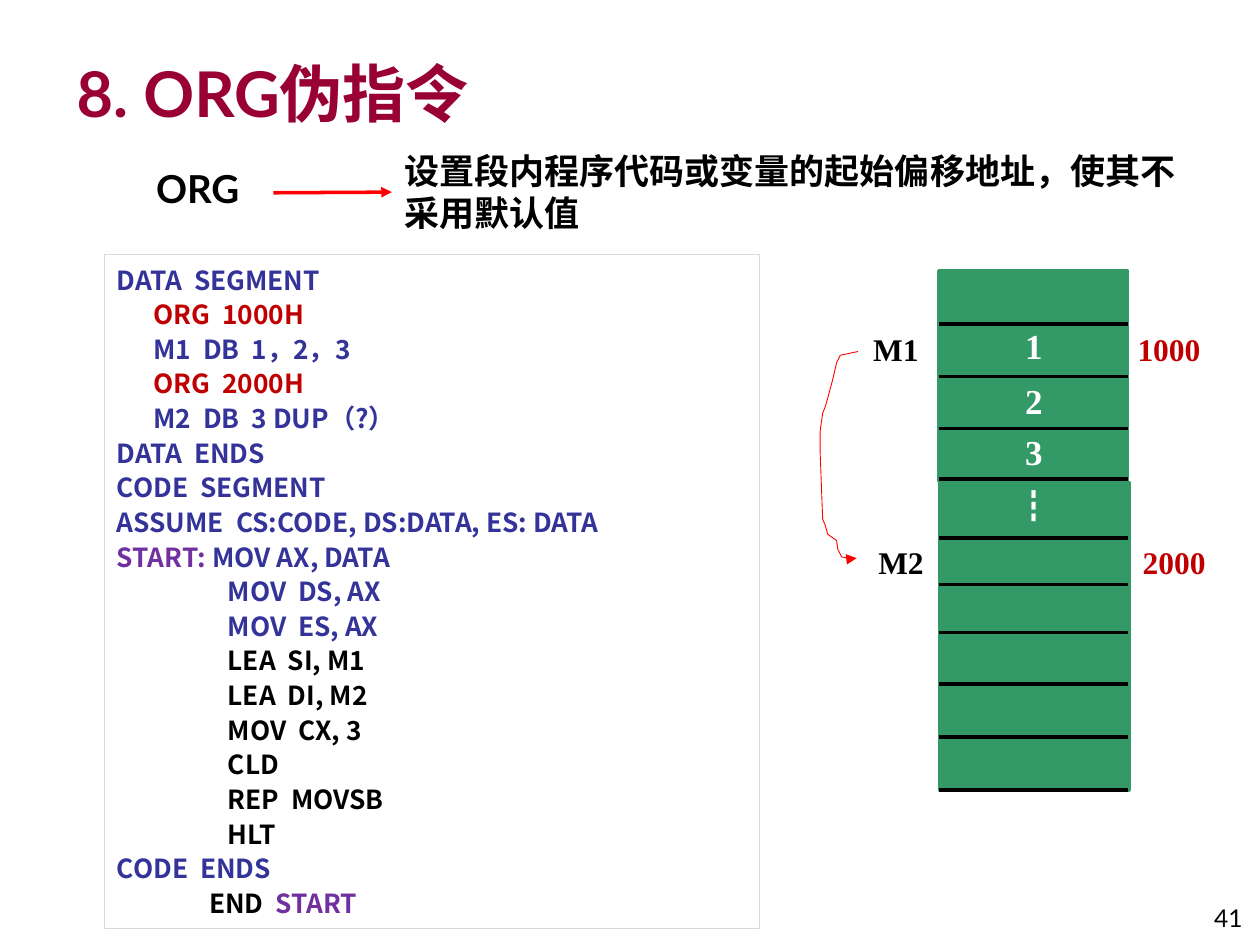
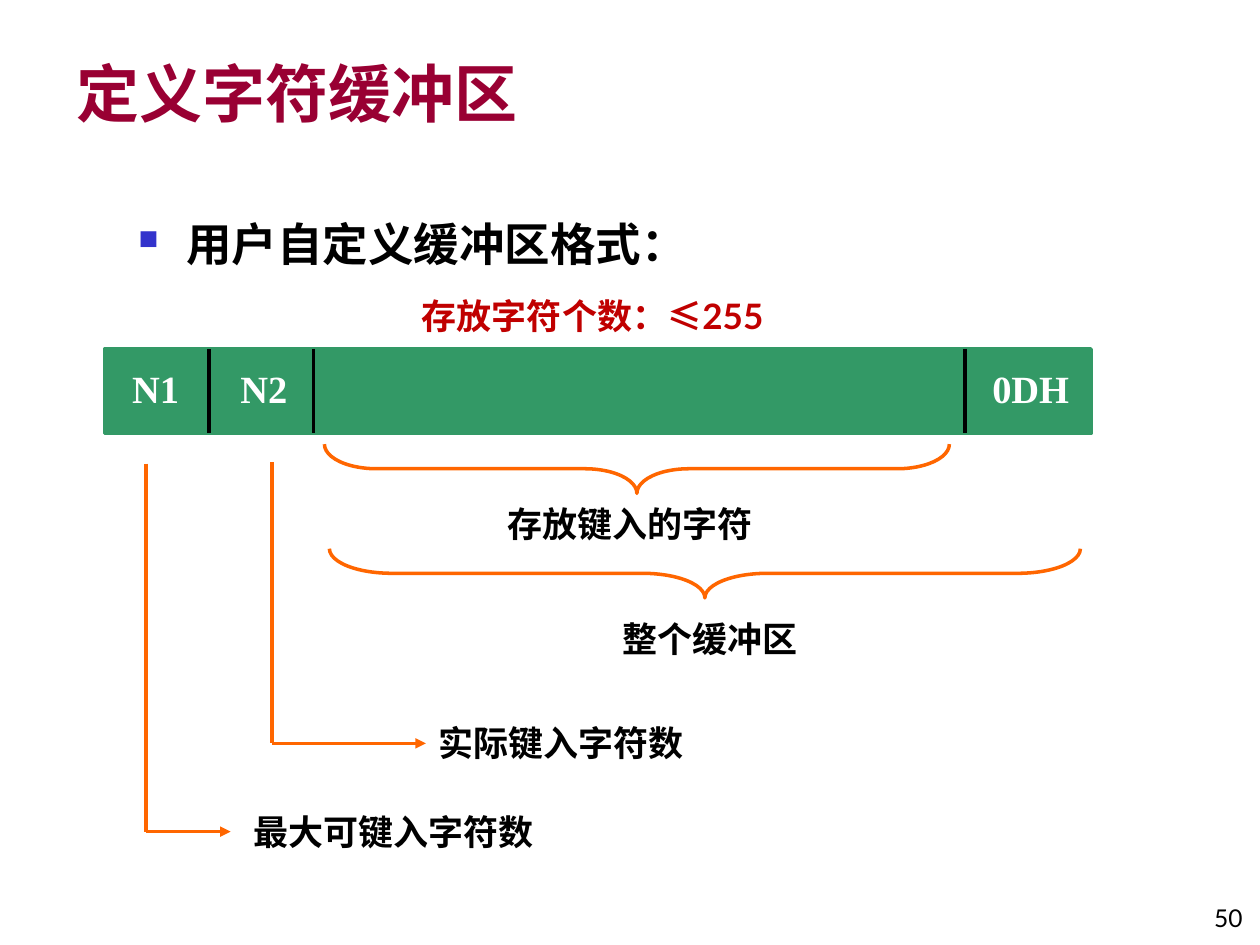
from pptx import Presentation
from pptx import util as u
from pptx.dml.color import RGBColor
from pptx.enum import shapes, text
from pptx.oxml import ns
from lxml import etree

COLORS = {
    "title": "990033", "ink": "000000", "paper": "FFFFFF", "memory": "339966",
    "code": "333399", "accent": "C00000", "label": "7030A0", "arrow": "FF0000",
    "frame": "D9D9D9", "bullet": "3333CC", "guide": "FF6600",
}
LATO, CJK, TIMES = "Lato", "Noto Sans CJK SC", "Times New Roman"
LEFT, CENTER, RIGHT, JUSTIFY = (text.PP_ALIGN.LEFT, text.PP_ALIGN.CENTER,
                                text.PP_ALIGN.RIGHT, text.PP_ALIGN.JUSTIFY)
COLUMNS, ROWS = 100, 75


class Sketch:
    """Draws styled elements on the current page of a 100 by 75 grid."""

    def __init__(self):
        self.deck = Presentation()
        self.deck.slide_width, self.deck.slide_height = u.Inches(10), u.Inches(7.5)
        self.page = None

    def place(self, column, row):
        return (u.Emu(round(column * self.deck.slide_width / COLUMNS)),
                u.Emu(round(row * self.deck.slide_height / ROWS)))

    def color(self, name):
        return RGBColor.from_string(COLORS[name])

    def child(self, parent, tag, **values):
        return etree.SubElement(parent, ns.qn(tag), values)

    def new_page(self, title, number):
        self.page = self.deck.slides.add_slide(self.deck.slide_layouts[6])
        self.label((5.1, 2.9, 83.9, 7.9), title, 36, "title", anchor=text.MSO_ANCHOR.BOTTOM)
        self.label((92.5, 69.5, 7.1, 5), [(number, LATO)], 14, align=RIGHT, bold=False,
                   anchor=text.MSO_ANCHOR.BOTTOM)

    def span(self, para, words, font, size, color, bold=True):
        span = para.add_run()
        span.text = words
        span.font.name, span.font.size, span.font.bold = font, u.Pt(size), bold
        span.font.color.rgb = self.color(color)
        self.child(span.font._element, "a:ea", typeface=CJK)

    def label(self, area, spans, size, color="ink", align=LEFT, bold=True,
              anchor=text.MSO_ANCHOR.TOP):
        box = self.page.shapes.add_textbox(*self.place(*area[:2]), *self.place(*area[2:]))
        box.text_frame.word_wrap = True
        box.text_frame.vertical_anchor = anchor
        para = box.text_frame.paragraphs[0]
        para.alignment = align
        for words, font in spans:
            self.span(para, words, font, size, color, bold)
        return box

    def bullet(self, area, words, size):
        box = self.label(area, [(words, CJK)], size, align=JUSTIFY)
        para = box.text_frame.paragraphs[0]
        props = para._p.get_or_add_pPr()
        indent = u.Inches(0.38)
        props.set("marL", str(indent))
        props.set("indent", str(-indent))
        self.child(self.child(props, "a:buClr"), "a:srgbClr", val=COLORS["bullet"])
        self.child(props, "a:buSzPct", val="60000")
        self.child(props, "a:buChar", char="■")
        para.line_spacing, para.space_after = 1.2, u.Pt(2)

    def shape(self, kind, area, fill, line, width=2):
        shape = self.page.shapes.add_shape(kind, *self.place(*area[:2]), *self.place(*area[2:]))
        self.finish(shape, fill, line, width)
        return shape

    def finish(self, shape, fill, line, width):
        shape.shadow.inherit = False
        if fill:
            shape.fill.solid()
            shape.fill.fore_color.rgb = self.color(fill)
        else:
            shape.fill.background()
        shape.line.color.rgb, shape.line.width = self.color(line), u.Pt(width)

    def bar(self, area, fill="memory", line="memory", width=2):
        return self.shape(shapes.MSO_SHAPE.RECTANGLE, area, fill, line, width)

    def brace(self, center, row, length, curl):
        depth = 3.9
        area = (center - depth / 2, row - length / 2, depth, length)
        brace = self.shape(shapes.MSO_SHAPE.LEFT_BRACE, area, None, "guide")
        brace.rotation = 270
        brace.adjustments[0] = curl

    def arrowhead(self, shape):
        line = shape._element.spPr.find(ns.qn("a:ln"))
        self.child(line, "a:tailEnd", type="triangle")

    def line(self, start, end, color="ink", arrow=False, target=None):
        line = self.page.shapes.add_connector(
            shapes.MSO_CONNECTOR.STRAIGHT, *self.place(*start), *self.place(*end))
        if target is not None:
            line.end_connect(target, 1)
        line.line.color.rgb, line.line.width = self.color(color), u.Pt(2)
        if arrow:
            self.arrowhead(line)
        self.child(line._element.spPr, "a:effectLst")

    def curve(self, points, color):
        places = [self.place(*point) for point in points]
        builder = self.page.shapes.build_freeform(*places[0])
        builder.add_line_segments(places[1:], close=False)
        curve = builder.convert_to_shape()
        self.finish(curve, None, color, 0.5)
        self.arrowhead(curve)

    def listing(self, area, lines):
        box = self.bar(area, "paper", "frame", 0.5)
        frame = box.text_frame
        frame.word_wrap, frame.vertical_anchor = True, text.MSO_ANCHOR.TOP
        for index, (indent, spans) in enumerate(lines):
            para = frame.paragraphs[0] if index == 0 else frame.add_paragraph()
            para.alignment, para.line_spacing = JUSTIFY, 1.1
            props = para._p.get_or_add_pPr()
            props.set("marL", "0")
            props.set("indent", str(u.Inches(indent)))
            for words, color in spans:
                self.span(para, words, CJK, 15, color)


DATA, BODY = 0.29, 0.88
PROGRAM = [
    (0, [("DATA  SEGMENT", "code")]),
    (DATA, [("ORG  1000H", "accent")]),
    (DATA, [("M1  DB  1，2，3", "code")]),
    (DATA, [("ORG  2000H", "accent")]),
    (DATA, [("M2  DB  3 DUP（?）", "code")]),
    (0, [("DATA  ENDS", "code")]),
    (0, [("CODE  SEGMENT", "code")]),
    (0, [("ASSUME  CS:CODE, DS:DATA, ES: DATA", "code")]),
    (0, [("START:", "label"), (" MOV AX, DATA", "code")]),
    *[(BODY, [(words, "code")]) for words in ("MOV  DS, AX", "MOV  ES, AX")],
    *[(BODY, [(words, "ink")]) for words in
      ("LEA  SI, M1", "LEA  DI, M2", "MOV  CX, 3", "CLD", "REP  MOVSB", "HLT")],
    (0, [("CODE  ENDS", "code")]),
    (0.59, [("   ", "code"), ("END  ", "ink"), ("START", "label")]),
]


def draw_org(sketch):
    """Shows the ORG directive, its program and the memory it lays out."""
    sketch.new_page([("8. ORG", LATO), ("伪指令", CJK)], "41")
    sketch.label((11.4, 12.6, 13.4, 4.7), [("ORG", LATO)], 22)
    meaning = sketch.label((31.1, 11.4, 65.4, 7.7),
                           [("设置段内程序代码或变量的起始偏移地址，使其不采用默认值", CJK)], 20)
    sketch.line((21.7, 15.3), (31.1, 15.3), "arrow", True, meaning)
    sketch.listing((8.3, 20.2, 52, 53.5), PROGRAM)
    sketch.curve([(68.1, 27.9), (66.7, 28.2), (66.4, 28.8), (66.1, 30.1), (65.7, 31.6),
                  (65.5, 32.3), (65.3, 32.8), (65.1, 34.2), (65.1, 36), (65.3, 41.2),
                  (65.5, 41.7), (65.7, 42.4), (66.4, 42.9), (66.5, 43.6), (66.8, 44.2),
                  (67.3, 44.3), (67.6, 44.6), (68, 44.3)], "arrow")

    sketch.bar((74.5, 21.5, 15, 16.7))
    sketch.bar((74.6, 38.3, 15, 24.4))
    for row in (25.7, 29.9, 34, 38, 42.7, 46.4, 50.2, 54.3, 58.5, 62.7):
        sketch.line((74.5, row), (89.5, row))
    for row, value, font in ((25.3, "1", TIMES), (29.6, "2", TIMES),
                             (33.7, "3", TIMES), (38, "┇", CJK)):
        sketch.label((78.6, row, 6.9, 4.4), [(value, font)], 20, "paper", CENTER)
    for row, shift, name, address in ((25.7, 0, "M1", "1000"), (42.6, 0.4, "M2", "2000")):
        sketch.label((66.6 + shift, row, 7.3, 4), [(name, TIMES)], 18, align=RIGHT)
        sketch.label((89.3 + shift, row, 7.3, 4), [(address, TIMES)], 18, "accent")


def draw_buffer(sketch):
    """Shows the fields of a user-defined character buffer."""
    sketch.new_page([("定义字符缓冲区", CJK)], "50")
    sketch.bullet((10, 15.8, 74.9, 6.8), "用户自定义缓冲区格式：", 26)
    top, height = 27.7, 6.7
    sketch.bar((8.3, top, 78.3, height))
    for column in (16.6, 24.9, 76.6):
        sketch.line((column, top), (column, top + height))
    for column, width, name in ((9, 6.7, "N1"), (17.2, 7.5, "N2"), (77.2, 9.2, "0DH")):
        sketch.label((column, 28.5, width, 4.7), [(name, TIMES)], 22, "paper", CENTER)
    sketch.label((32.5, 22.9, 37, 4.4), [("存放字符个数", CJK), ("：≤255", LATO)], 20, "accent")

    sketch.brace(50.55, 37.2, 49.6, 1.06)
    sketch.brace(55.95, 45.5, 59.6, 1.27)
    notes = [sketch.label((column, row, width, 4.4), [(words, CJK)], 20)
             for column, row, width, words in (
                 (39.3, 39.4, 21.7, "存放键入的字符"), (48.4, 48.5, 21.7, "整个缓冲区"),
                 (19.1, 63.8, 30.8, "最大可键入字符数"), (33.8, 56.8, 24, "实际键入字符数"))]
    for column, start, row, end, target in ((11.6, 36.8, 66, 18.3, None),
                                            (21.6, 36.7, 59, 33.8, notes[3])):
        sketch.line((column, start), (column, row), "guide")
        sketch.line((column, row), (end, row), "guide", True, target)


def main():
    """Builds both pages and saves the deck."""
    sketch = Sketch()
    draw_org(sketch)
    draw_buffer(sketch)
    sketch.deck.save("out.pptx")


if __name__ == "__main__":
    main()
